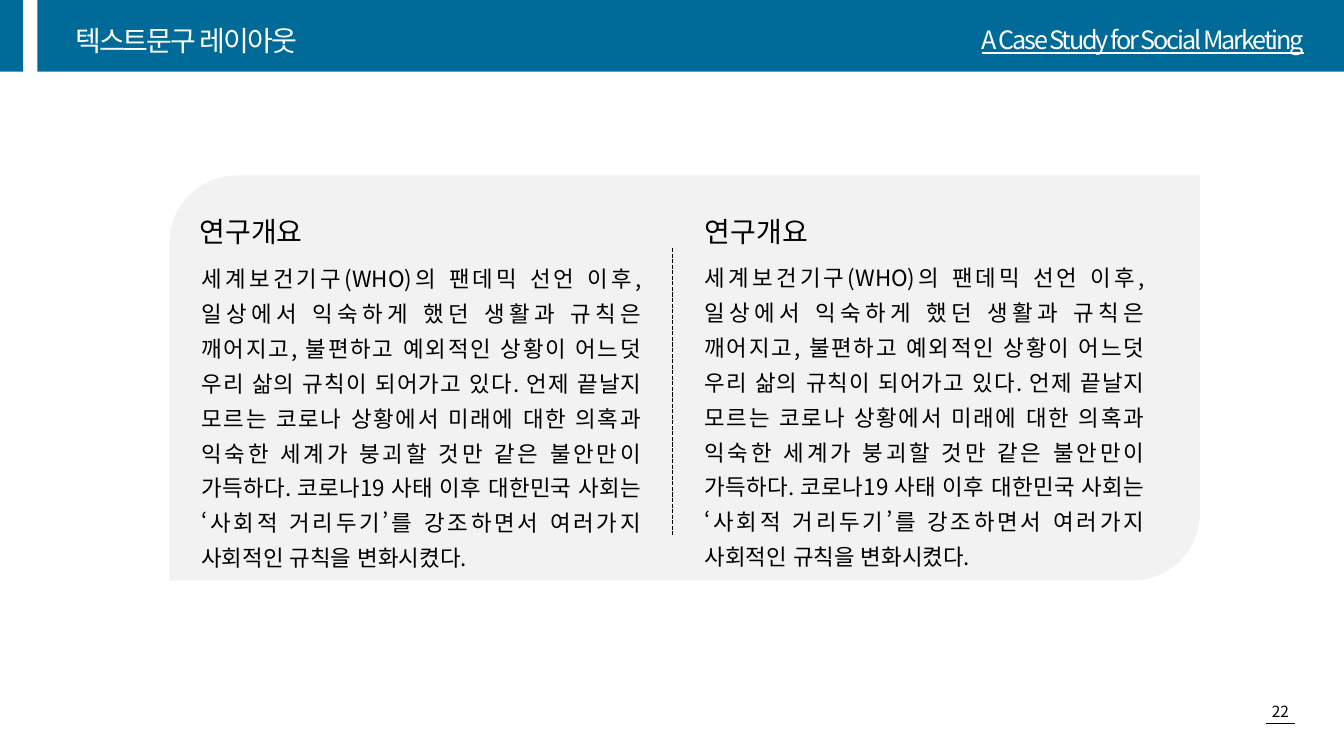
from dataclasses import dataclass

from lxml import etree
from pptx import Presentation
from pptx import util as u
from pptx.dml.color import RGBColor
from pptx.enum import dml, lang, shapes, text
from pptx.oxml.ns import qn

PX = 9144  # EMU in one px, 100 px to the inch


@dataclass(frozen=True)
class Theme:
    font: str = "Noto Sans CJK KR"
    blue: str = "006B99"
    panel: str = "F2F2F2"
    ink: str = "000000"
    paper: str = "FFFFFF"
    heading: int = 20
    tagline: int = 18
    body: int = 16
    number: int = 11
    tight: int = -150  # letter spacing in hundredths of a point


def apply(target, values):
    for name, value in values.items():
        setattr(target, name, value)


class Painter:
    def __init__(self, page, theme):
        self.page = page
        self.theme = theme

    def block(self, kind, left, top, width, height, color):
        box = self.page.shapes.add_shape(
            kind, left * PX, top * PX, width * PX, height * PX)
        box.shadow.inherit = False
        box.fill.solid()
        box.fill.fore_color.rgb = RGBColor.from_string(color)
        box.line.fill.background()

    def line(self, start, end, weight, dash=None):
        rule = self.page.shapes.add_connector(
            shapes.MSO_CONNECTOR.STRAIGHT, *(value * PX for value in start + end))
        rule.line.color.rgb = RGBColor.from_string(self.theme.ink)
        apply(rule.line, {"width": u.Pt(weight), "dash_style": dash})
        etree.SubElement(rule.element.spPr, qn("a:effectLst"))

    def label(self, place, words, size, color=None, tracking=None,
              anchor=text.MSO_ANCHOR.MIDDLE, underline=None, **para_format):
        """Add a one-paragraph text box; para_format overrides paragraph settings."""
        box = self.page.shapes.add_textbox(*(value * PX for value in place))
        apply(box.text_frame, {"word_wrap": True, "vertical_anchor": anchor})
        para = box.text_frame.paragraphs[0]
        apply(para, {"line_spacing": 1.3, **para_format})
        span = para.add_run()
        span.text = words
        apply(span.font, {"name": self.theme.font, "size": u.Pt(size),
                          "underline": underline,
                          "language_id": lang.MSO_LANGUAGE_ID.KOREAN})
        span.font.color.rgb = RGBColor.from_string(color or self.theme.ink)
        props = span.font._element
        etree.SubElement(props, qn("a:ea"), typeface=self.theme.font)
        if tracking:
            props.set("spc", str(tracking))


BODY = (
    "세계보건기구(WHO)의 팬데믹 선언 이후, 일상에서 익숙하게 했던 생활과 규칙은 "
    "깨어지고, 불편하고 예외적인 상황이 어느덧 우리 삶의 규칙이 되어가고 있다. "
    "언제 끝날지 모르는 코로나 상황에서 미래에 대한 의혹과 익숙한 세계가 붕괴할 것만 "
    "같은 불안만이 가득하다. 코로나19 사태 이후 대한민국 사회는 ‘사회적 거리두기’를 "
    "강조하면서 여러가지 사회적인 규칙을 변화시켰다."
)


def draw_frame(painter):
    theme = painter.theme
    for left, width in ((0, 23), (37, 1296)):
        painter.block(shapes.MSO_SHAPE.RECTANGLE, left, 0, width, 71, theme.blue)
    header = {"color": theme.paper, "tracking": theme.tight}
    painter.label((65, 5, 456, 60), "텍스트문구 레이아웃", theme.heading, **header)
    painter.label((847, 11, 456, 47), "A Case Study for Social Marketing",
                  theme.tagline, underline=True,
                  alignment=text.PP_ALIGN.RIGHT, **header)
    painter.label((1236, 692, 68, 29), "22", theme.number,
                  anchor=text.MSO_ANCHOR.TOP, line_spacing=1.0,
                  alignment=text.PP_ALIGN.CENTER)
    painter.line((1256, 718), (1284, 718), 0.5)


def draw_columns(painter):
    theme = painter.theme
    painter.block(shapes.MSO_SHAPE.ROUND_2_DIAG_RECTANGLE,
                  168, 174, 1022, 402, theme.panel)
    painter.line((667, 246), (667, 532), 1, dml.MSO_LINE.SQUARE_DOT)
    for heading_left, body_left, body_top in ((188, 190, 250), (689, 689, 249)):
        painter.label((heading_left, 199, 338, 51), "연구개요", theme.heading)
        painter.label((body_left, body_top, 456, 259), BODY, theme.body,
                      anchor=text.MSO_ANCHOR.TOP, space_before=u.Pt(10),
                      alignment=text.PP_ALIGN.JUSTIFY)


def main():
    deck = Presentation()
    apply(deck, {"slide_width": 1333 * PX, "slide_height": 750 * PX})
    painter = Painter(deck.slides.add_slide(deck.slide_layouts[6]), Theme())
    draw_frame(painter)
    draw_columns(painter)
    deck.save("out.pptx")


if __name__ == "__main__":
    main()
